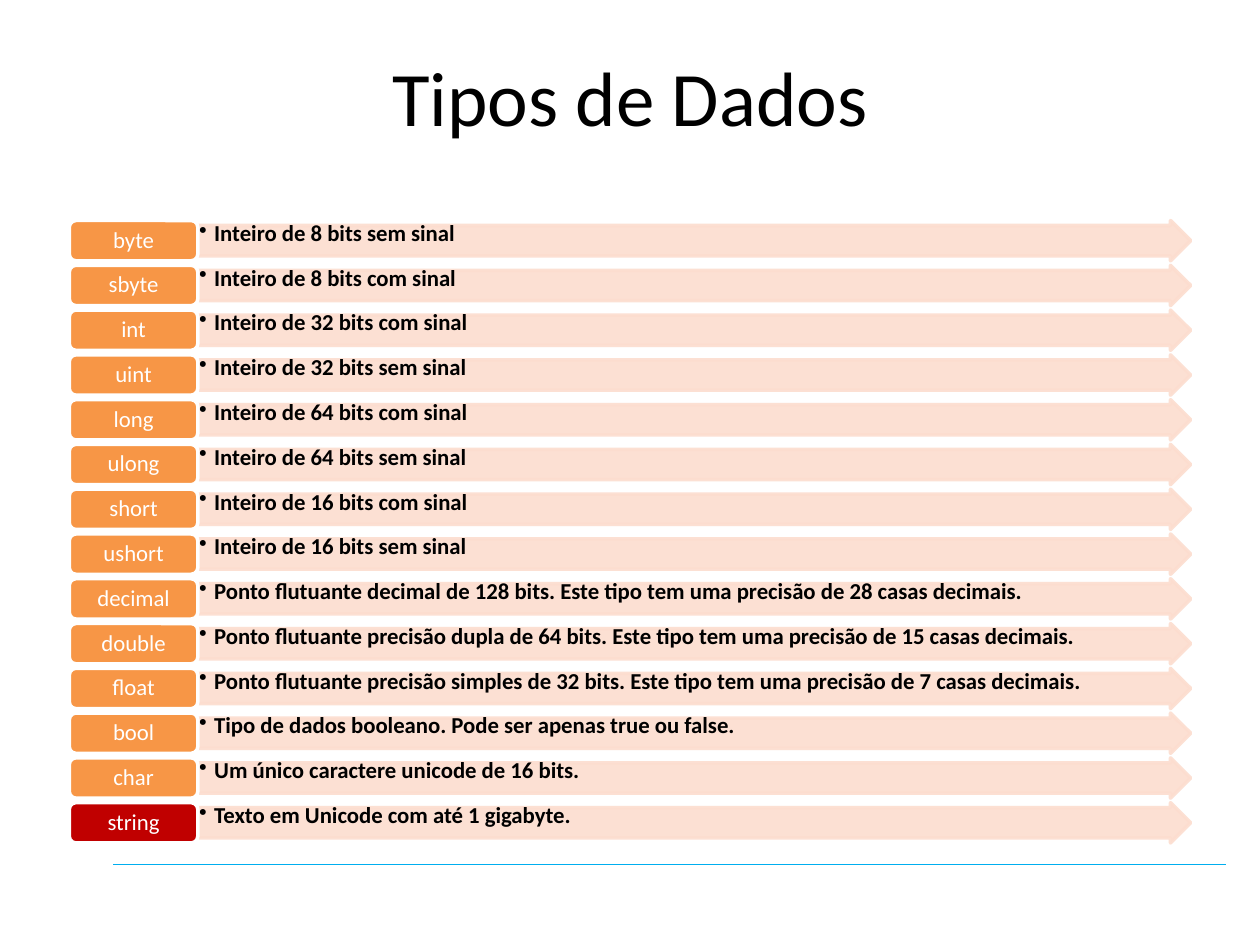
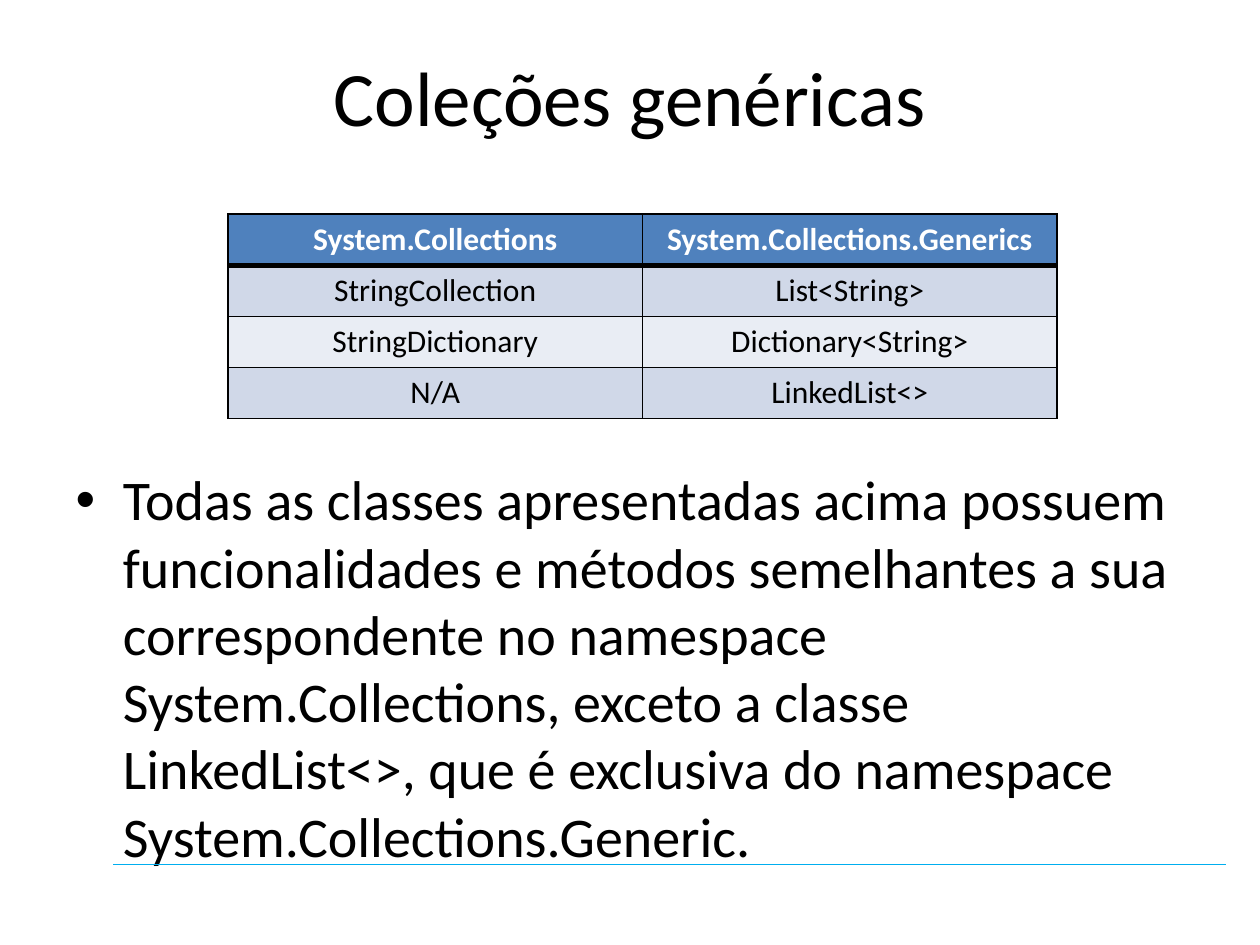
from lxml.etree import SubElement
from pptx import Presentation
from pptx.dml.color import RGBColor
from pptx.enum.shapes import MSO_CONNECTOR, MSO_SHAPE
from pptx.enum.text import MSO_ANCHOR, MSO_AUTO_SIZE, PP_ALIGN
from pptx.oxml.ns import qn
from pptx.util import Inches, Pt

BLACK = RGBColor(0x00, 0x00, 0x00)
WHITE = RGBColor(0xFF, 0xFF, 0xFF)
CYAN = RGBColor(0x00, 0xAE, 0xEF)
PEACH = RGBColor(0xFC, 0xDD, 0xCF)
ORANGE = RGBColor(0xF7, 0x96, 0x46)
RED = RGBColor(0xC0, 0x00, 0x00)
HEADER_BLUE = RGBColor(0x4F, 0x81, 0xBD)
BAND_DARK = RGBColor(0xD0, 0xD8, 0xE8)
BAND_LIGHT = RGBColor(0xE9, 0xED, 0xF4)

GRID_COLUMNS, GRID_ROWS = 100, 75
TITLE_ONLY, TITLE_AND_CONTENT = 5, 1

DATA_TYPES = [
    ("byte", "Inteiro de 8 bits sem sinal"),
    ("sbyte", "Inteiro de 8 bits com sinal"),
    ("int", "Inteiro de 32 bits com sinal"),
    ("uint", "Inteiro de 32 bits sem sinal"),
    ("long", "Inteiro de 64 bits com sinal"),
    ("ulong", "Inteiro de 64 bits sem sinal"),
    ("short", "Inteiro de 16 bits com sinal"),
    ("ushort", "Inteiro de 16 bits sem sinal"),
    ("decimal", "Ponto flutuante decimal de 128 bits. Este tipo tem uma precisão de 28 casas decimais."),
    ("double", "Ponto flutuante precisão dupla de 64 bits. Este tipo tem uma precisão de 15 casas decimais."),
    ("float", "Ponto flutuante precisão simples de 32 bits. Este tipo tem uma precisão de 7 casas decimais."),
    ("bool", "Tipo de dados booleano. Pode ser apenas true ou false."),
    ("char", "Um único caractere unicode de 16 bits."),
    ("string", "Texto em Unicode com até 1 gigabyte."),
]

COLLECTIONS = [
    ("System.Collections", "System.Collections.Generics"),
    ("StringCollection", "List<String>"),
    ("StringDictionary", "Dictionary<String>"),
    ("N/A", "LinkedList<>"),
]

COLLECTIONS_NOTE = (
    "Todas as classes apresentadas acima possuem funcionalidades e métodos "
    "semelhantes a sua correspondente no namespace System.Collections, exceto "
    "a classe LinkedList<>, que é exclusiva do namespace System.Collections.Generic."
)


class Deck:
    font = "Calibri"

    def __init__(self):
        self.presentation = Presentation()
        self.presentation.slide_width = Inches(10)
        self.presentation.slide_height = Inches(7.5)
        self.slide = None

    def area(self, left, top, width, height):
        column = self.presentation.slide_width / GRID_COLUMNS
        row = self.presentation.slide_height / GRID_ROWS
        return [round(n) for n in (left * column, top * row, width * column, height * row)]

    def place(self, shape, *cells):
        shape.left, shape.top, shape.width, shape.height = self.area(*cells)

    def add_text(self, paragraph, text, size, color=BLACK, bold=False, align=None):
        paragraph.alignment = align
        run = paragraph.add_run()
        run.text = text
        run.font.name = self.font
        run.font.size = Pt(size)
        run.font.bold = bold
        run.font.color.rgb = color

    def set_margins(self, frame, horizontal, vertical):
        frame.margin_left = frame.margin_right = Inches(horizontal)
        frame.margin_top = frame.margin_bottom = Inches(vertical)

    def add_slide(self, layout, title):
        self.slide = self.presentation.slides.add_slide(self.presentation.slide_layouts[layout])
        self.add_rule(9, 68.6, 88.3)
        shape = self.slide.shapes.title
        self.place(shape, 5, 3, 90, 12.5)
        frame = shape.text_frame
        frame.vertical_anchor = MSO_ANCHOR.TOP
        frame.margin_top = Inches(0.09)
        self.add_text(frame.paragraphs[0], title, 44, align=PP_ALIGN.CENTER)

    def add_rule(self, left, top, width):
        x, y, length, _ = self.area(left, top, width, 0)
        rule = self.slide.shapes.add_connector(MSO_CONNECTOR.STRAIGHT, x, y, x + length, y)
        rule.line.color.rgb = CYAN
        rule.line.width = Pt(0.75)
        SubElement(rule._element.spPr, qn("a:effectLst"))

    def add_shape(self, kind, cells, fill, line):
        shape = self.slide.shapes.add_shape(kind, *self.area(*cells))
        shape.shadow.inherit = False
        shape.fill.solid()
        shape.fill.fore_color.rgb = fill
        shape.line.color.rgb = line
        shape.line.width = Pt(2)
        return shape

    def add_arrow(self, *cells):
        arrow = self.add_shape(MSO_SHAPE.RIGHT_ARROW, cells, PEACH, PEACH)
        arrow.adjustments[0] = 0.75
        arrow.adjustments[1] = 0.5
        for color in arrow._element.spPr.iter(qn("a:srgbClr")):
            SubElement(color, qn("a:alpha"), val="90000")

    def add_label(self, text, fill, *cells):
        label = self.add_shape(MSO_SHAPE.ROUNDED_RECTANGLE, cells, fill, WHITE)
        frame = label.text_frame
        self.set_margins(frame, 0.05, 0.03)
        frame.vertical_anchor = MSO_ANCHOR.MIDDLE
        frame.paragraphs[0].line_spacing = 0.9
        self.add_text(frame.paragraphs[0], text, 13, WHITE, align=PP_ALIGN.CENTER)

    def add_bullet(self, text, *cells):
        frame = self.slide.shapes.add_textbox(*self.area(*cells)).text_frame
        frame.word_wrap = True
        self.set_margins(frame, 0.01, 0.01)
        paragraph = frame.paragraphs[0]
        paragraph.line_spacing = 0.9
        properties = paragraph._p.get_or_add_pPr()
        properties.set("marL", str(Inches(0.12)))
        properties.set("indent", str(-Inches(0.12)))
        SubElement(properties, qn("a:buChar"), char="•")
        self.add_text(paragraph, text, 13, bold=True)

    def add_body(self, text, *cells):
        body = self.slide.placeholders[1]
        self.place(body, *cells)
        frame = body.text_frame
        frame.auto_size = MSO_AUTO_SIZE.NONE
        frame.paragraphs[0].space_before = Pt(0)
        self.add_text(frame.paragraphs[0], text, 32)

    def add_borders(self, cell, widths):
        properties = cell._tc.get_or_add_tcPr()
        for side, width in zip("LRTB", widths):
            line = SubElement(properties, qn(f"a:ln{side}"), w=str(Pt(width)))
            fill = SubElement(line, qn("a:solidFill"))
            SubElement(fill, qn("a:srgbClr"), val=str(BLACK))

    def add_table(self, rows, *cells):
        table = self.slide.shapes.add_table(len(rows), len(rows[0]), *self.area(*cells)).table
        for row, texts in enumerate(rows):
            header = row == 0
            fill = HEADER_BLUE if header else BAND_DARK if row % 2 else BAND_LIGHT
            widths = (1, 1, 3 if row == 1 else 1, 3 if header else 1)
            for column, text in enumerate(texts):
                cell = table.cell(row, column)
                self.add_borders(cell, widths)
                cell.fill.solid()
                cell.fill.fore_color.rgb = fill
                self.add_text(cell.text_frame.paragraphs[0], text, 18,
                              WHITE if header else BLACK, header, PP_ALIGN.CENTER)


def main():
    deck = Deck()

    deck.add_slide(TITLE_ONLY, "Tipos de Dados")
    first_top, last_top, height = 17.5, 63.7, 3.2
    pitch = (last_top - first_top) / (len(DATA_TYPES) - 1)
    for index, (name, description) in enumerate(DATA_TYPES):
        top = first_top + index * pitch
        deck.add_arrow(15.7, top, 78.8, height)
        deck.add_bullet(description, 15.7, top, 78.8, height)
        deck.add_label(name, RED if name == "string" else ORANGE, 5.5, top, 10.2, height)

    deck.add_slide(TITLE_AND_CONTENT, "Coleções genéricas")
    deck.add_body(COLLECTIONS_NOTE, 5, 36.4, 90, 30.6)
    deck.add_table(COLLECTIONS, 18.1, 17, 65.8, 16)

    deck.presentation.save("out.pptx")


if __name__ == "__main__":
    main()
